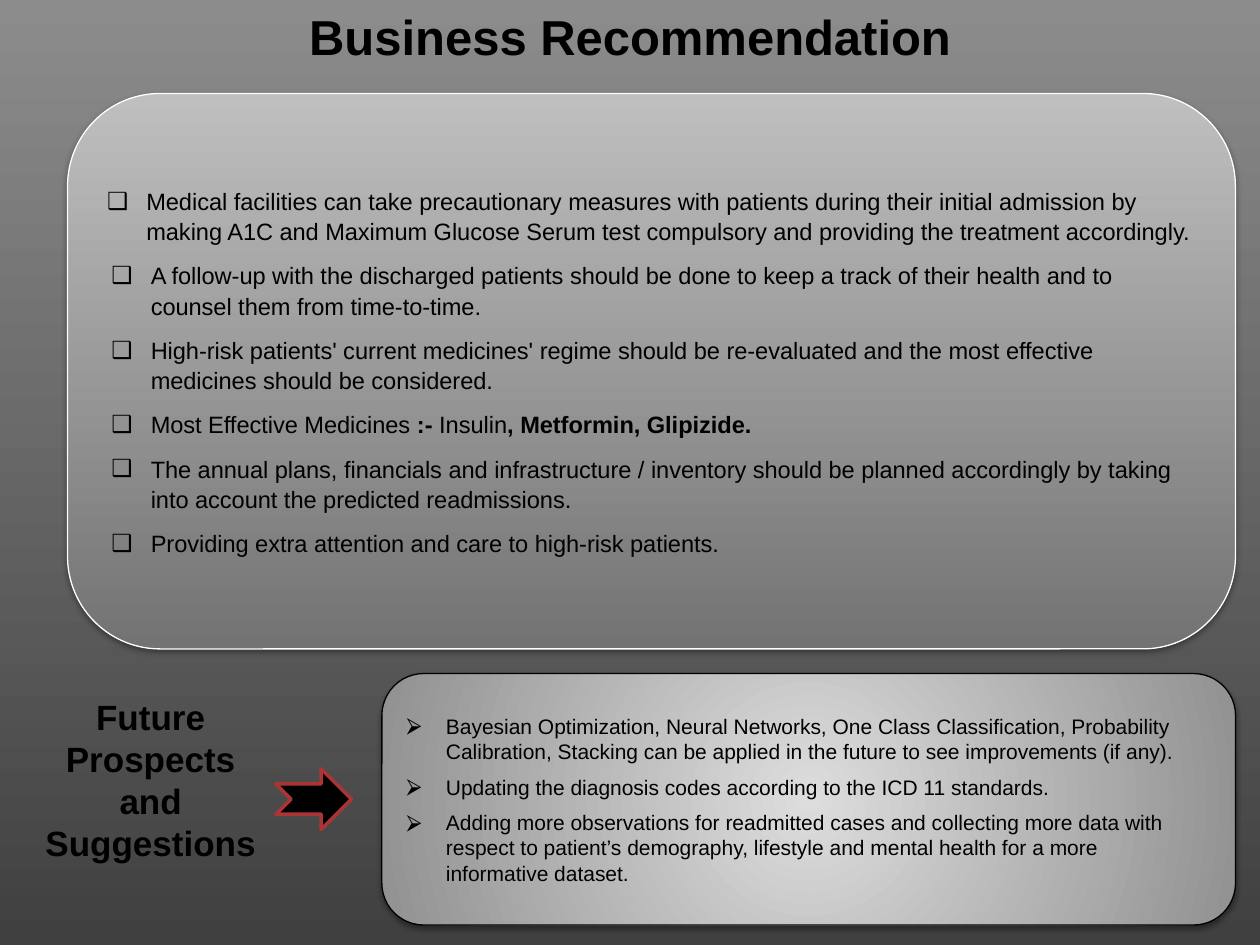
from lxml import etree
from pptx import Presentation
from pptx.dml.color import RGBColor
from pptx.enum.shapes import MSO_SHAPE
from pptx.enum.text import MSO_ANCHOR, PP_ALIGN
from pptx.oxml.ns import qn
from pptx.util import Pt

ROUND = MSO_SHAPE.ROUNDED_RECTANGLE
ARROW = MSO_SHAPE.NOTCHED_RIGHT_ARROW
MIDDLE = MSO_ANCHOR.MIDDLE
LEFT, CENTER = PP_ALIGN.LEFT, PP_ALIGN.CENTER

BLACK = RGBColor(0x00, 0x00, 0x00)
WHITE = RGBColor(0xFF, 0xFF, 0xFF)
RED = RGBColor(0xAB, 0x35, 0x36)
BACK = RGBColor(0x8C, 0x8C, 0x8C), RGBColor(0x40, 0x40, 0x40)
PANEL = RGBColor(0xBF, 0xBF, 0xBF), RGBColor(0x73, 0x73, 0x73)
GLOW = RGBColor(0xDD, 0xDD, 0xDD), RGBColor(0x91, 0x91, 0x91)

# Each item is a list of (text, bold) runs or a plain string
ADVICE = [
    "Medical facilities can take precautionary measures with patients during their initial "
    "admission by\nmaking A1C and Maximum Glucose Serum test compulsory and providing the "
    "treatment accordingly.",
    "A follow-up with the discharged patients should be done to keep a track of their health "
    "and to\ncounsel them from time-to-time.",
    "High-risk patients' current medicines' regime should be re-evaluated and the most "
    "effective\nmedicines should be considered.",
    [("Most Effective Medicines ", False), (":- ", True), ("Insulin", False),
     (", Metformin, Glipizide.", True)],
    "The annual plans, financials and infrastructure / inventory should be planned accordingly "
    "by taking\ninto account the predicted readmissions.",
    "Providing extra attention and care to high-risk patients.",
]
FUTURE = [
    "Bayesian Optimization, Neural Networks, One Class Classification, Probability\n"
    "Calibration, Stacking can be applied in the future to see improvements (if any).",
    "Updating the diagnosis codes according to the ICD 11 standards.",
    "Adding more observations for readmitted cases and collecting more data with\n"
    "respect to patient’s demography, lifestyle and mental health for a more\n"
    "informative dataset.",
]


class Deck:
    """Holds the style and the current slide."""

    font = "Arial"
    hang = 22.5

    def __init__(self, slide):
        self.slide = slide

    def blend(self, fill, pair):
        fill.gradient()
        fill.gradient_angle = 270
        for stop, color in zip(fill.gradient_stops, pair):
            stop.color.rgb = color

    def style(self, para, size, bold=None):
        font = para.font
        font.name, font.size, font.bold = self.font, Pt(size), bold
        font.color.rgb = BLACK

    def label(self, box, text, size):
        frame = self.slide.shapes.add_textbox(*map(Pt, box)).text_frame
        frame.word_wrap = True
        para = frame.paragraphs[0]
        para.text = text
        para.alignment = CENTER
        self.style(para, size, True)

    def shape(self, kind, box, edge, width):
        shape = self.slide.shapes.add_shape(kind, *map(Pt, box))
        shape.shadow.inherit = False
        shape.line.color.rgb = edge
        shape.line.width = Pt(width)
        return shape

    def panel(self, box, pair, edge, radial=False):
        shape = self.shape(ROUND, box, edge, 0.75)
        self.blend(shape.fill, pair)
        props = shape._element.spPr
        if radial:
            grad = props.find(qn("a:gradFill"))
            grad.remove(grad.find(qn("a:lin")))
            ring = etree.SubElement(grad, qn("a:path"), path="circle")
            etree.SubElement(ring, qn("a:fillToRect"), l="50000", t="50000",
                             r="50000", b="50000")
        # Soft shadow straight below
        shade = etree.SubElement(props.find(qn("a:effectLst")), qn("a:outerShdw"),
                                 blurRad=str(Pt(3.1)), dist=str(Pt(1.6)),
                                 dir="5400000", rotWithShape="0")
        tone = etree.SubElement(shade, qn("a:srgbClr"), val=str(BLACK))
        etree.SubElement(tone, qn("a:alpha"), val="38000")
        frame = shape.text_frame
        frame.word_wrap = True
        frame.vertical_anchor = MIDDLE
        return frame

    def bullets(self, frame, items, mark, size, gap, first, rest, lead=1.0):
        for i, item in enumerate(items):
            para = frame.add_paragraph() if i else frame.paragraphs[0]
            if isinstance(item, str):
                para.text = item
            else:
                for text, bold in item:
                    run = para.add_run()
                    run.text, run.font.bold = text, bold
            para.alignment = LEFT
            para.line_spacing = lead
            para.space_before = Pt(gap if i else 0)
            props = para._p.get_or_add_pPr()
            props.set("marL", str(Pt(rest if i else first)))
            props.set("indent", str(-Pt(self.hang)))
            tint = etree.SubElement(props, qn("a:buClr"))
            etree.SubElement(tint, qn("a:srgbClr"), val=str(BLACK))
            etree.SubElement(props, qn("a:buFont"), typeface=self.font)
            etree.SubElement(props, qn("a:buChar"), char=mark)
            self.style(para, size)


def main():
    prs = Presentation()
    prs.slide_width, prs.slide_height = Pt(720), Pt(540)
    deck = Deck(prs.slides.add_slide(prs.slide_layouts[6]))
    deck.blend(deck.slide.background.fill, BACK)

    # Title
    deck.label((167, 0, 386, 55), "Business Recommendation", 28)

    # Recommendations
    frame = deck.panel((38.6, 53.4, 667.4, 317.4), PANEL, WHITE)
    deck.bullets(frame, ADVICE, "❑", 13.5, 8, 22.5, 25, 1.07)

    # Future prospects
    deck.label((14.4, 393.8, 149, 104.4), "Future \nProspects \nand \nSuggestions ", 20)
    frame = deck.panel((218.2, 384.9, 487.8, 143.7), GLOW, BLACK, radial=True)
    deck.bullets(frame, FUTURE, "⮚", 12, 6, 22.5, 22.5)

    # Arrow to the prospects
    arrow = deck.shape(ARROW, (157.7, 439.3, 43.2, 34.6), RED, 2)
    arrow.fill.solid()
    arrow.fill.fore_color.rgb = BLACK

    prs.save("out.pptx")


if __name__ == "__main__":
    main()
